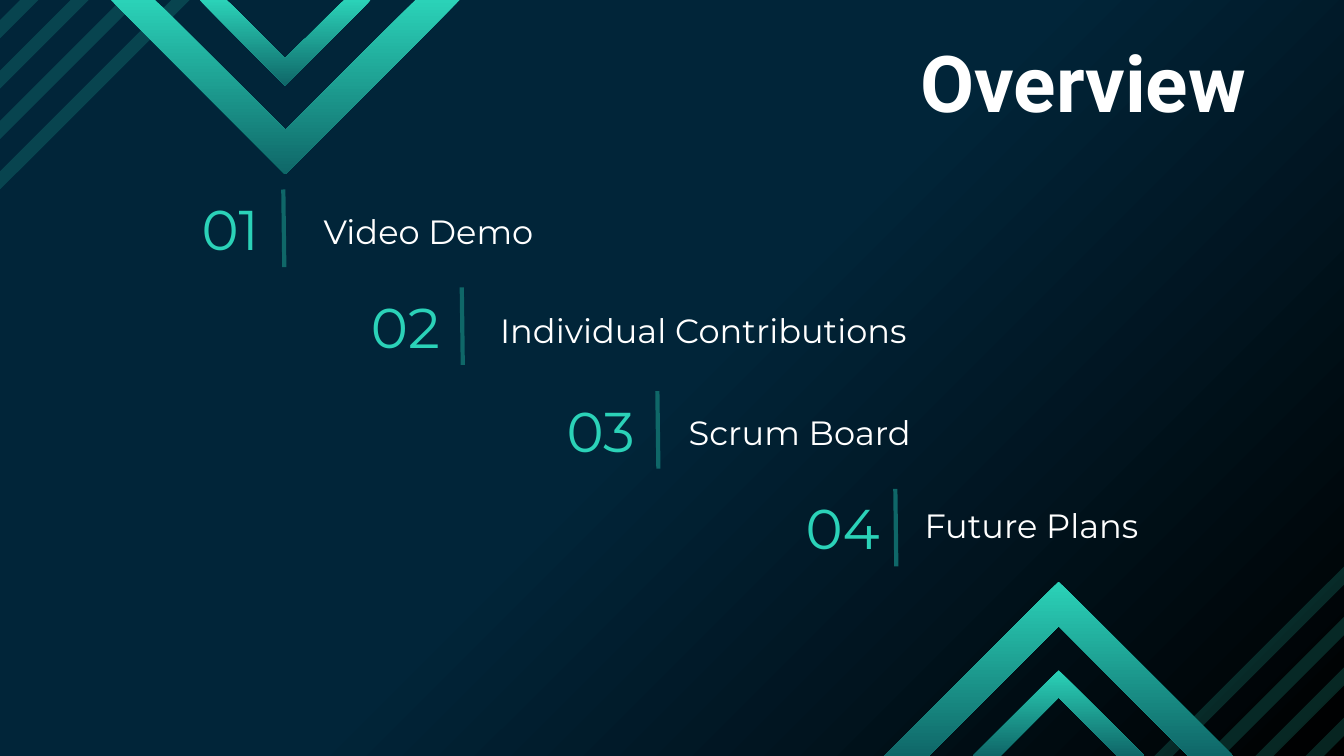
"""Build the Overview agenda slide with stepped entries and corner chevrons."""
import copy

import pptx
import pptx.dml.color
import pptx.enum.dml
import pptx.enum.shapes
import pptx.enum.text
import pptx.oxml
import pptx.oxml.ns
import pptx.util
from pptx.util import Inches

WIDTH, HEIGHT = 13.33, 7.5
NAVY, BLACK, WHITE = "012539", "000000", "FFFFFF"
MINT, TEAL = "2BD2B8", "0F6768"

TITLE = "Overview"
TITLE_BOX = (6.6, 0.31, 5.89, 0.94)

# number, number box, label, label box, divider start
ENTRIES = [
    ("01", (1.87, 1.84, 0.94, 0.84), "Video Demo", (3.08, 1.9, 2.44, 0.72), (2.81, 1.88)),
    ("02", (3.55, 2.82, 1.04, 0.84), "Individual Contributions", (4.83, 2.88, 4.31, 0.72), (4.58, 2.85)),
    ("03", (5.49, 3.85, 1.04, 0.84), "Scrum Board", (6.7, 3.9, 3.29, 0.72), (6.52, 3.88)),
    ("04", (7.86, 4.81, 1.25, 0.84), "Future Plans", (9.04, 4.91, 2.44, 0.63), (8.88, 4.85)),
]
DIVIDER_SLANT, DIVIDER_HEIGHT = 0.01, 0.77

STRIPE_COUNT, STRIPE_REACH, STRIPE_STEP, STRIPE_THICKNESS = 4, 1.88, 0.5, 0.18
STRIPE_OPACITY = 18
CHEVRON_CENTER = 2.83
CHEVRONS = [(1.73, 0.44), (0.85, 0.27)]


def color(hex_string):
    return pptx.dml.color.RGBColor.from_string(hex_string)


def set_gradient(fill, start, end, angle):
    fill.gradient()
    fill.gradient_angle = angle
    for stop, stop_color in zip(fill.gradient_stops, (start, end)):
        stop.color.rgb = color(stop_color)


def paint_background(slide):
    fill = slide.background.fill
    set_gradient(fill, NAVY, BLACK, 315)
    stop_list = slide.background._cSld.find(".//" + pptx.oxml.ns.qn("a:gsLst"))
    middle = copy.deepcopy(stop_list[0])
    middle.set("pos", "50000")
    stop_list.insert(1, middle)


def write_text(shape, text, box, size, font="Montserrat", fill=WHITE, bold=False,
               align="LEFT", anchor="MIDDLE", spacing=1.0):
    shape.left, shape.top, shape.width, shape.height = map(Inches, box)
    frame = shape.text_frame
    frame.word_wrap = True
    frame.auto_size = pptx.enum.text.MSO_AUTO_SIZE.NONE
    frame.vertical_anchor = pptx.enum.text.MSO_ANCHOR[anchor]
    frame.margin_left = frame.margin_right = Inches(0.13)
    frame.margin_top = frame.margin_bottom = Inches(0.13)
    paragraph = frame.paragraphs[0]
    paragraph.alignment = pptx.enum.text.PP_ALIGN[align]
    paragraph.line_spacing = spacing
    run = paragraph.add_run()
    run.text = text
    run.font.name = font
    run.font.size = pptx.util.Pt(size)
    run.font.bold = bold
    run.font.color.rgb = color(fill)


def add_outline(slide, points):
    corners = [(Inches(x), Inches(y)) for x, y in points]
    builder = slide.shapes.build_freeform(*corners[0], scale=1.0)
    builder.add_line_segments(corners[1:], close=True)
    shape = builder.convert_to_shape()
    shape.shadow.inherit = False
    shape.line.fill.background()
    return shape


def add_stripe(slide, points):
    shape = add_outline(slide, points)
    shape.fill.solid()
    shape.fill.fore_color.rgb = color(MINT)
    solid_color = shape._element.spPr.find(".//" + pptx.oxml.ns.qn("a:srgbClr"))
    alpha = solid_color.makeelement(pptx.oxml.ns.qn("a:alpha"), {"val": str(STRIPE_OPACITY * 1000)})
    solid_color.append(alpha)


def add_chevron(slide, points):
    set_gradient(add_outline(slide, points).fill, MINT, TEAL, 270)


def add_corner(slide, turned):
    def place(points):
        return [(WIDTH - x, HEIGHT - y) for x, y in points] if turned else points

    for index in range(STRIPE_COUNT):
        outer = STRIPE_REACH - index * STRIPE_STEP
        inner = outer - STRIPE_THICKNESS
        add_stripe(slide, place([(inner, 0), (0, inner), (0, outer), (outer, 0)]))
    for outer, thickness in CHEVRONS:
        inner, middle = outer - thickness, CHEVRON_CENTER
        add_chevron(slide, place([
            (middle - outer, 0), (middle, outer), (middle + outer, 0),
            (middle + inner, 0), (middle, inner), (middle - inner, 0),
        ]))


def add_divider(slide, x, y):
    connector = slide.shapes.add_connector(
        pptx.enum.shapes.MSO_CONNECTOR.STRAIGHT, Inches(x), Inches(y),
        Inches(x + DIVIDER_SLANT), Inches(y + DIVIDER_HEIGHT))
    connector.line.color.rgb = color(TEAL)
    connector.line.width = pptx.util.Pt(3)
    properties = connector._element.spPr
    properties.append(properties.makeelement(pptx.oxml.ns.qn("a:effectLst"), {}))


def main():
    presentation = pptx.Presentation()
    presentation.slide_width, presentation.slide_height = Inches(WIDTH), Inches(HEIGHT)
    slide = presentation.slides.add_slide(presentation.slide_layouts.get_by_name("Title Only"))
    paint_background(slide)
    for turned in (False, True):
        add_corner(slide, turned)
    for number, number_box, label, label_box, divider in ENTRIES:
        write_text(slide.shapes.add_textbox(0, 0, 0, 0), label, label_box, 24, anchor="BOTTOM")
        write_text(slide.shapes.add_textbox(0, 0, 0, 0), number, number_box, 40, fill=MINT)
        add_divider(slide, *divider)
    write_text(slide.shapes.title, TITLE, TITLE_BOX, 56, font="Roboto", bold=True,
               align="RIGHT", anchor="TOP", spacing=0.9)
    presentation.save("out.pptx")


if __name__ == "__main__":
    main()
